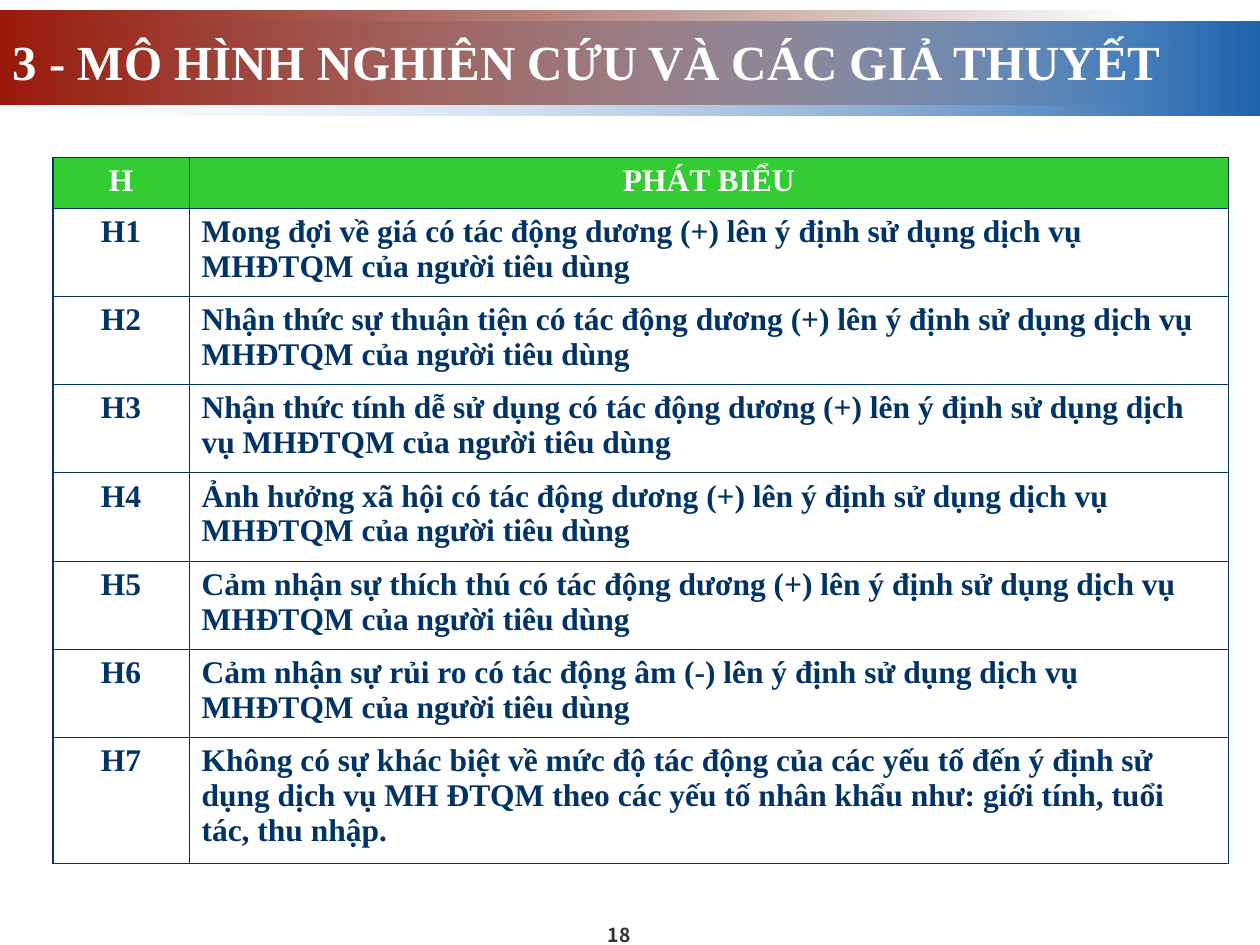
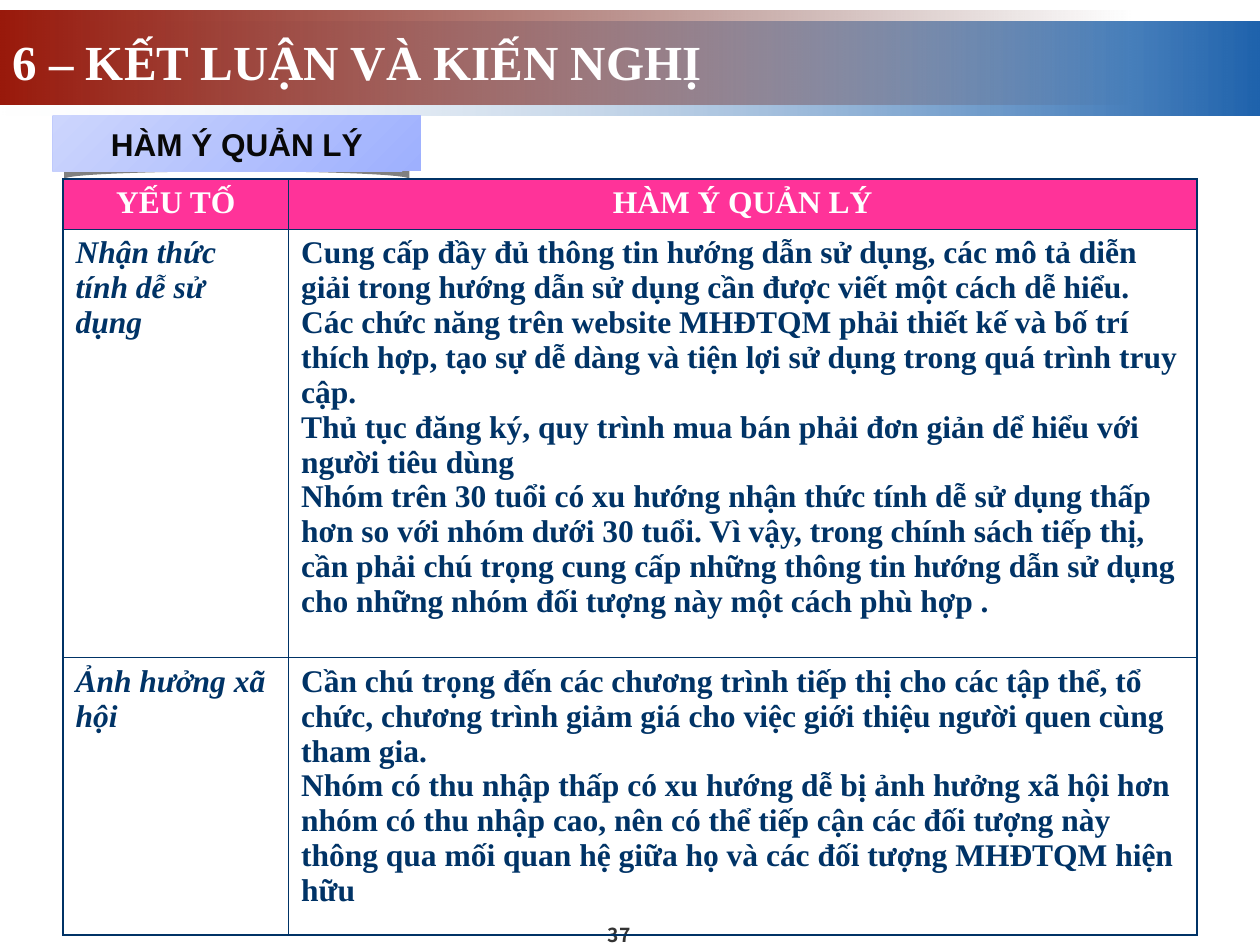
from math import cos, pi, sin
from lxml import etree
from pptx import Presentation
from pptx import util as u
from pptx.dml.color import RGBColor
from pptx.enum import shapes, text
from pptx.oxml.ns import qn

NAVY, WHITE, GREEN, PINK = "003366", "FFFFFF", "33CC33", "FF3399"
SERIF = "Times New Roman"
LEFT, MID = text.PP_ALIGN.LEFT, text.PP_ALIGN.CENTER
TOP, CENTER, BASE = text.MSO_ANCHOR.TOP, text.MSO_ANCHOR.MIDDLE, text.MSO_ANCHOR.BOTTOM
RECT = shapes.MSO_SHAPE.RECTANGLE

CLAIMS = [
    ["H", "PHÁT BIỂU"],
    ["H1", "Mong đợi về giá có tác động dương (+) lên ý định sử dụng dịch vụ MHĐTQM của người tiêu dùng"],
    ["H2", "Nhận thức sự thuận tiện có tác động dương (+) lên ý định sử dụng dịch vụ MHĐTQM của người tiêu dùng"],
    ["H3", "Nhận thức tính dễ sử dụng có tác động dương (+) lên ý định sử dụng dịch vụ MHĐTQM của người tiêu dùng"],
    ["H4", "Ảnh hưởng xã hội có tác động dương (+) lên ý định sử dụng dịch vụ MHĐTQM của người tiêu dùng"],
    ["H5", "Cảm nhận sự thích thú có tác động dương (+) lên ý định sử dụng dịch vụ MHĐTQM của người tiêu dùng"],
    ["H6", "Cảm nhận sự rủi ro có tác động âm (-) lên ý định sử dụng dịch vụ MHĐTQM của người tiêu dùng"],
    ["H7", "Không có sự khác biệt về mức độ tác động của các yếu tố đến ý định sử dụng dịch vụ MH ĐTQM "
           "theo các yếu tố nhân khẩu như: giới tính, tuổi tác, thu nhập."],
]
ADVICE = [
    ["YẾU TỐ", "HÀM Ý QUẢN LÝ"],
    ["Nhận thức tính dễ sử dụng", "\n".join([
        "Cung cấp đầy đủ thông tin hướng dẫn sử dụng, các mô tả diễn giải trong hướng dẫn sử dụng "
        "cần được viết một cách dễ hiểu.",
        "Các chức năng trên website MHĐTQM phải thiết kế và bố trí thích hợp, tạo sự dễ dàng "
        "và tiện lợi sử dụng trong quá trình truy cập.",
        "Thủ tục đăng ký, quy trình mua bán phải đơn giản dể hiểu với người tiêu dùng",
        "Nhóm trên 30 tuổi có xu hướng nhận thức tính dễ sử dụng thấp hơn so với nhóm dưới 30 tuổi. "
        "Vì vậy, trong chính sách tiếp thị, cần phải chú trọng cung cấp những thông tin hướng dẫn "
        "sử dụng cho những nhóm đối tượng này một cách phù hợp ."])],
    ["Ảnh hưởng xã hội", "\n".join([
        "Cần chú trọng đến các chương trình tiếp thị cho các tập thể, tổ chức, chương trình giảm giá "
        "cho việc giới thiệu người quen cùng tham gia.",
        "Nhóm có thu nhập thấp có xu hướng dễ bị ảnh hưởng xã hội hơn nhóm có thu nhập cao, nên có thể "
        "tiếp cận các đối tượng này thông qua mối quan hệ giữa họ và các đối tượng MHĐTQM hiện hữu"])],
]


def rgb(code):
    return RGBColor.from_string(code)


def inches(*box):
    return [u.Inches(size) for size in box]


def write(frame, words, size, color, font=SERIF, align=LEFT, italic=False):
    frame.text = words
    for para in frame.paragraphs:
        para.alignment = align
        for run in para.runs:
            run.font.size, run.font.name = u.Pt(size), font
            run.font.bold, run.font.italic = True, italic
            run.font.color.rgb = rgb(color)


def plain(shape):
    shape.shadow.inherit = False
    shape.line.fill.background()


def blend(shape, stops, angle):
    plain(shape)
    shape.fill.gradient()
    grad = shape.fill._xPr.find(qn("a:gradFill"))
    for child in list(grad):
        grad.remove(child)
    marks = etree.SubElement(grad, qn("a:gsLst"))
    for place, (color, alpha) in zip((0, 100), stops):
        mark = etree.SubElement(marks, qn("a:gs"), pos=str(place * 1000))
        tint = etree.SubElement(mark, qn("a:srgbClr"), val=color)
        if alpha < 100:
            etree.SubElement(tint, qn("a:alpha"), val=str(alpha * 1000))
    etree.SubElement(grad, qn("a:lin"), ang=str(angle * 60000), scaled="0")


def add_bands(slide):
    blue = slide.shapes.add_shape(RECT, *inches(0, 0.17, 10, 0.75))
    blend(blue, [("1F63AD", 100), ("E2EAF3", 0)], 180)
    red = slide.shapes.add_shape(RECT, *inches(0, 0.08, 9, 0.75))
    blend(red, [("460B05", 0), ("99190B", 100)], 180)
    tree = slide.slide_layout.shapes.element
    for depth, band in enumerate((blue, red)):
        band.element.nvSpPr.cNvPr.set("id", str(100 + depth))
        tree.insert(2 + depth, band.element)


def start(deck, words, number):
    slide = deck.slides.add_slide(deck.slide_layouts[5])
    title = slide.shapes.title
    title.left, title.top, title.width, title.height = inches(0, 0.2, 10, 0.57)
    frame = title.text_frame
    frame.vertical_anchor = BASE
    frame.auto_size = text.MSO_AUTO_SIZE.NONE
    write(frame, words, 28, WHITE)
    page = slide.shapes.add_textbox(*inches(4.33, 7.34, 1.17, 0.16)).text_frame
    page.margin_left = page.margin_right = page.margin_top = page.margin_bottom = 0
    page.vertical_anchor = CENTER
    write(page, str(number), 11, "333333", "Noto Sans CJK KR", MID)
    return slide


def edge(cell, side, width):
    line = etree.SubElement(cell._tc.get_or_add_tcPr(), qn("a:ln" + side), w=str(u.Pt(width)))
    fill = etree.SubElement(line, qn("a:solidFill"))
    etree.SubElement(fill, qn("a:srgbClr"), val=NAVY)


def add_grid(slide, box, cols, rows, data, head, rim, align=LEFT, italic=False):
    grid = slide.shapes.add_table(len(rows), len(cols), *inches(*box)).table
    grid.first_row = grid.horz_banding = False
    for col, width in zip(grid.columns, inches(*cols)):
        col.width = width
    for row, height in zip(grid.rows, inches(*rows)):
        row.height = height
    for r, line in enumerate(data):
        for c, words in enumerate(line):
            cell = grid.cell(r, c)
            outer = {"L": c == 0, "R": c == len(cols) - 1, "T": r == 0, "B": r == len(rows) - 1}
            for side, rims in outer.items():
                edge(cell, side, rim if rims else 0.45)
            if r == 0:
                cell.fill.solid()
                cell.fill.fore_color.rgb = rgb(head)
                write(cell.text_frame, words, 18, WHITE, align=MID)
            else:
                cell.fill.background()
                write(cell.text_frame, words, 18, NAVY,
                      align=LEFT if c else align, italic=italic and c == 0)


def add_tag(slide, box, words):
    left, top, width, height = box
    group = slide.shapes.add_group_shape()
    x, y, half = left + 0.09, top + 0.28, width / 2 - 0.09
    turns = [pi * step / 24 for step in range(25)]
    curve = [(x + half * (1 + cos(t)), y + 0.22 - 0.06 * sin(t)) for t in turns]
    points = curve + [(x, y + 0.06), (x + half, y), (x + 2 * half, y + 0.06)]
    pen = group.shapes.build_freeform(*inches(*points[0]))
    pen.add_line_segments([inches(*point) for point in points[1:]])
    shade = pen.convert_to_shape()
    plain(shade)
    shade.fill.solid()
    shade.fill.fore_color.rgb = rgb("808080")
    plate = group.shapes.add_shape(RECT, *inches(*box))
    blend(plate, [("9EB0FE", 100), ("CCD5FD", 100)], 225)
    plate.text_frame.word_wrap = False
    plate.text_frame.vertical_anchor = CENTER
    write(plate.text_frame, words, 18, "080808", "Arial", MID)


def add_claims(deck):
    slide = start(deck, "3 - MÔ HÌNH NGHIÊN CỨU VÀ CÁC GIẢ THUYẾT", 18)
    add_bands(slide)
    add_grid(slide, (0.42, 1.25, 9.33, 5.6), (1.08, 8.25), [0.4] + [0.7] * 6 + [1],
             CLAIMS, GREEN, 1.08, align=MID)


def add_advice(deck):
    slide = start(deck, "6 – KẾT LUẬN VÀ KIẾN NGHỊ", 37)
    add_tag(slide, (0.42, 0.92, 2.92, 0.44), "HÀM Ý QUẢN LÝ")
    add_grid(slide, (0.5, 1.42, 9, 6), (1.79, 7.21), (0.4, 3.4, 2.2),
             ADVICE, PINK, 0.96, italic=True)


def main():
    deck = Presentation()
    deck.slide_width, deck.slide_height = inches(10, 7.5)
    add_claims(deck)
    add_advice(deck)
    deck.save("out.pptx")


if __name__ == "__main__":
    main()
